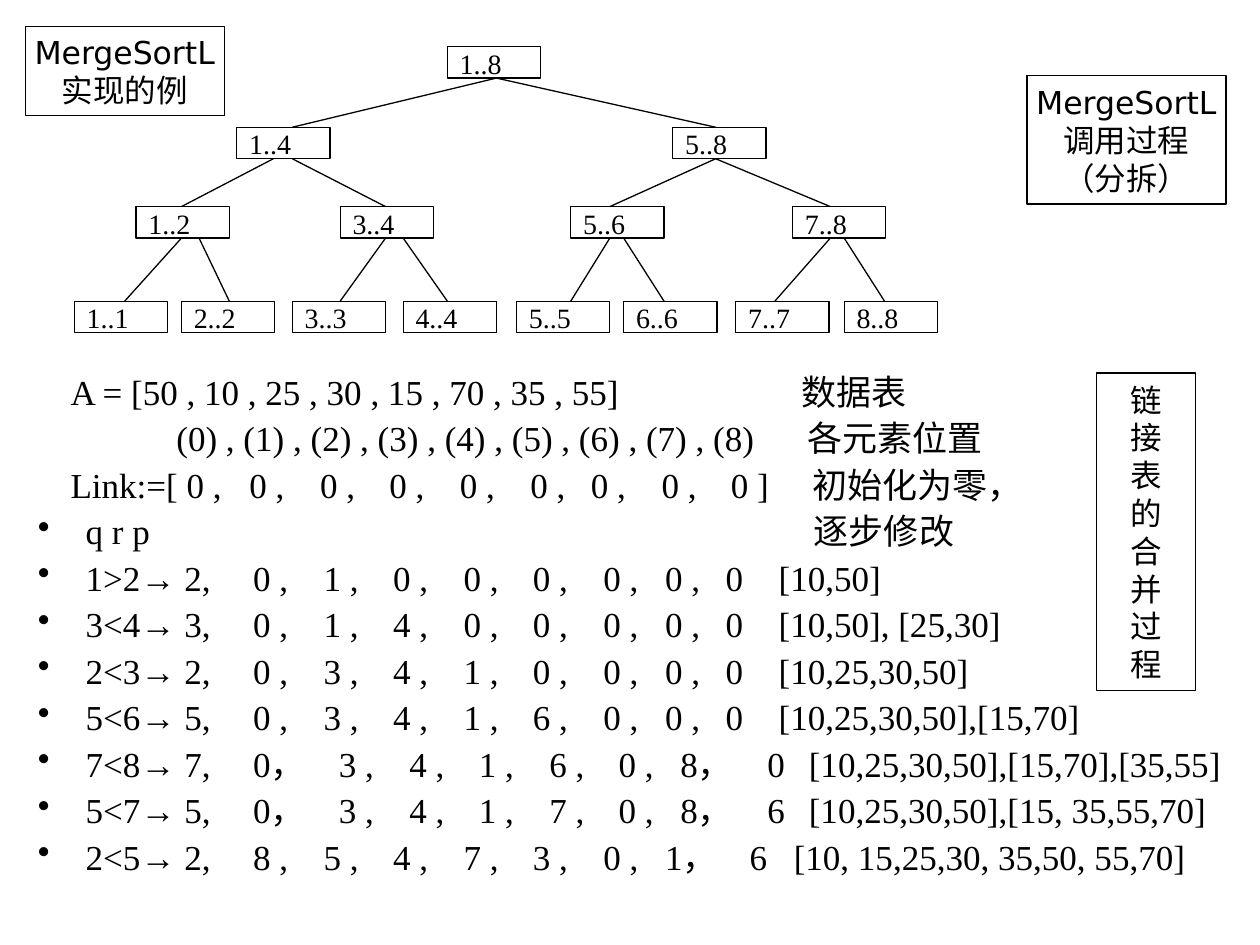
from dataclasses import dataclass
from typing import NamedTuple

from lxml import etree
from pptx import Presentation
from pptx.dml.color import RGBColor
from pptx.enum.shapes import MSO_CONNECTOR, MSO_SHAPE
from pptx.enum.text import MSO_ANCHOR, PP_ALIGN
from pptx.oxml.ns import qn
from pptx.util import Inches, Pt

STRAIGHT = MSO_CONNECTOR.STRAIGHT
RECTANGLE = MSO_SHAPE.RECTANGLE
MIDDLE, TOP = MSO_ANCHOR.MIDDLE, MSO_ANCHOR.TOP
CENTER, JUSTIFY = PP_ALIGN.CENTER, PP_ALIGN.JUSTIFY


@dataclass(frozen=True)
class Theme:
    ink: RGBColor = RGBColor(0, 0, 0)
    paper: RGBColor = RGBColor(255, 255, 255)
    serif: str = "Times New Roman"
    label_font: str = "DejaVu Sans"
    arrow_font: str = "Arial"
    body_size: float = 20
    label_size: float = 18
    node_size: float = 16
    line_width: float = 0.75
    line_height: float = 21.6
    line_gap: float = 5


class Area(NamedTuple):
    left: float
    top: float
    width: float
    height: float


class Node(NamedTuple):
    label: str
    level: int
    left: float


class Edge(NamedTuple):
    level: int
    start: float
    end: float


class Label(NamedTuple):
    area: Area
    lines: tuple


class Row(NamedTuple):
    cells: tuple
    stops: tuple


THEME = Theme()
NODE_WIDTH, NODE_HEIGHT = 0.74, 0.25
LEVEL_TOPS = (0.37, 1.01, 1.64, 2.39)

NODES = (
    Node("1..8", 0, 3.55),
    Node("1..4", 1, 1.88), Node("5..8", 1, 5.34),
    Node("1..2", 2, 1.08), Node("3..4", 2, 2.7),
    Node("5..6", 2, 4.53), Node("7..8", 2, 6.29),
    Node("1..1", 3, 0.59), Node("2..2", 3, 1.44),
    Node("3..3", 3, 2.32), Node("4..4", 3, 3.2),
    Node("5..5", 3, 4.1), Node("6..6", 3, 4.95),
    Node("7..7", 3, 5.84), Node("8..8", 3, 6.7),
)
EDGES = (
    Edge(0, 3.94, 2.32), Edge(0, 3.94, 5.68),
    Edge(1, 2.17, 1.44), Edge(1, 2.32, 3.06),
    Edge(1, 5.68, 4.84), Edge(1, 5.68, 6.59),
    Edge(2, 1.44, 0.99), Edge(2, 1.58, 1.82),
    Edge(2, 3.06, 2.7), Edge(2, 3.2, 3.55),
    Edge(2, 4.84, 4.53), Edge(2, 4.95, 5.27),
    Edge(2, 6.59, 6.15), Edge(2, 6.7, 7.02),
)
LABELS = (
    Label(Area(8.15, 0.6, 1.58, 1.02), ("MergeSortL", "调用过程", "（分拆）")),
    Label(Area(8.7, 2.96, 0.79, 2.52), tuple("链接表的合并过程")),
    Label(Area(0.2, 0.21, 1.58, 0.71), ("MergeSortL", "实现的例")),
)

TRACE_TOP, TRACE_RIGHT = 2.97, 9.85
ROW_PITCH = (THEME.line_height + THEME.line_gap) / 72
DEFINITION_LEFT, STEP_LEFT, STATE_LEFT = 0.56, 0.3, 2.01
STEP_INDENT = 0.38

DEFINITIONS = (
    Row(("A = [50 , 10 , 25 , 30 , 15 , 70 , 35 , 55]", "数据表"), (5.8,)),
    Row(("", "(0) , (1) , (2) , (3) , (4) , (5) , (6) , (7) , (8)", "各元素位置"),
        (0.84, 5.85)),
    Row(("Link:=[ 0 ,", *["0 ,"] * 7, "0 ]", "初始化为零，"),
        (1.42, 1.98, 2.53, 3.09, 3.65, 4.13, 4.69, 5.24, 5.89)),
)
STEPS = ("q r p", "1>2→ 2,", "3<4→ 3,", "2<3→ 2,", "5<6→ 5,", "7<8→ 7,",
         "5<7→ 5,", "2<5→ 2,")
EVEN_STOPS = (0.56, 1.11, 1.67, 2.22, 2.78, 3.27, 3.75, 4.17)
WIDE_STOPS = (0.68, 1.24, 1.79, 2.35, 2.9, 3.39, 4.08, 4.41)
FINAL_STOPS = (*EVEN_STOPS[:6], 3.94, 4.29)


def state(links: str, merged: str, stops: tuple, wide: tuple = ()) -> Row:
    """One row of link values; columns in wide take a full-width comma."""
    cells = [value + ("，" if column in wide else " ,")
             for column, value in enumerate(links[:-1])]
    return Row((*cells, links[-1], merged), stops)


STATES = (
    Row(("", "逐步修改"), (4.45,)),
    state("01000000", "[10,50]", EVEN_STOPS),
    state("01400000", "[10,50], [25,30]", EVEN_STOPS),
    state("03410000", "[10,25,30,50]", EVEN_STOPS),
    state("03416000", "[10,25,30,50],[15,70]", EVEN_STOPS),
    state("03416080", "[10,25,30,50],[15,70],[35,55]", WIDE_STOPS, (0, 6)),
    state("03417086", "[10,25,30,50],[15, 35,55,70]", WIDE_STOPS, (0, 6)),
    state("85473016", "[10, 15,25,30, 35,50, 55,70]", FINAL_STOPS, (6,)),
)


def set_font(target, name: str, size: float) -> None:
    target.font.name = name
    target.font.size = Pt(size)
    target.font.color.rgb = THEME.ink


def set_margins(frame, horizontal: float, vertical: float) -> None:
    frame.margin_left = frame.margin_right = Inches(horizontal)
    frame.margin_top = frame.margin_bottom = Inches(vertical)


def add_box(shapes, area: Area):
    shape = shapes.add_shape(RECTANGLE, *map(Inches, area))
    shape.shadow.inherit = False
    shape.fill.solid()
    shape.fill.fore_color.rgb = THEME.paper
    shape.line.color.rgb = THEME.ink
    shape.line.width = Pt(THEME.line_width)
    return shape


def add_node(shapes, node: Node) -> None:
    area = Area(node.left, LEVEL_TOPS[node.level], NODE_WIDTH, NODE_HEIGHT)
    frame = add_box(shapes, area).text_frame
    frame.word_wrap, frame.vertical_anchor = True, TOP
    set_margins(frame, 0.1, 0.05)
    paragraph = frame.paragraphs[0]
    paragraph.text = node.label
    paragraph.alignment, paragraph.line_spacing = JUSTIFY, 0.8
    set_font(paragraph, THEME.serif, THEME.node_size)


def add_edge(shapes, edge: Edge) -> None:
    line = shapes.add_connector(
        STRAIGHT, Inches(edge.start), Inches(LEVEL_TOPS[edge.level] + NODE_HEIGHT),
        Inches(edge.end), Inches(LEVEL_TOPS[edge.level + 1]))
    line.line.color.rgb = THEME.ink
    line.line.width = Pt(THEME.line_width)
    etree.SubElement(line._element.spPr, qn("a:effectLst"))


def add_label(shapes, label: Label) -> None:
    frame = add_box(shapes, label.area).text_frame
    frame.word_wrap, frame.vertical_anchor = False, MIDDLE
    set_margins(frame, 0.02, 0.01)
    for index, line in enumerate(label.lines):
        paragraph = frame.add_paragraph() if index else frame.paragraphs[0]
        paragraph.text, paragraph.alignment = line, CENTER
        set_font(paragraph, THEME.label_font, THEME.label_size)


def add_trace_lines(shapes, left: float, right: float, first_row: int, count: int) -> list:
    """Text box on the shared row pitch; returns its empty paragraphs."""
    area = Area(left, TRACE_TOP + first_row * ROW_PITCH, right - left, count * ROW_PITCH)
    frame = shapes.add_textbox(*map(Inches, area)).text_frame
    frame.word_wrap = True
    set_margins(frame, 0, 0)
    for _ in range(count - 1):
        frame.add_paragraph()
    for paragraph in frame.paragraphs:
        paragraph.line_spacing = Pt(THEME.line_height)
        paragraph.space_after = Pt(THEME.line_gap)
        set_font(paragraph, THEME.serif, THEME.body_size)
    return list(frame.paragraphs)


def add_rows(shapes, left: float, first_row: int, rows: tuple) -> None:
    paragraphs = add_trace_lines(shapes, left, TRACE_RIGHT, first_row, len(rows))
    for paragraph, row in zip(paragraphs, rows):
        run = paragraph.add_run()
        run.text = "\t".join(row.cells)
        set_font(run, THEME.serif, THEME.body_size)
        tabs = etree.Element(qn("a:tabLst"))
        for stop in row.stops:
            etree.SubElement(tabs, qn("a:tab"), pos=str(Inches(stop)), algn="l")
        paragraph._p.pPr.find(qn("a:defRPr")).addprevious(tabs)


def add_steps(shapes, first_row: int) -> None:
    paragraphs = add_trace_lines(shapes, STEP_LEFT, STATE_LEFT, first_row, len(STEPS))
    for paragraph, step in zip(paragraphs, STEPS):
        before, arrow, after = step.partition("→")
        for text, font in ((before, THEME.serif), (arrow, THEME.arrow_font), (after, THEME.serif)):
            if text:
                run = paragraph.add_run()
                run.text = text
                set_font(run, font, THEME.body_size)
        properties = paragraph._p.pPr
        properties.set("marL", str(Inches(STEP_INDENT)))
        properties.set("indent", str(-Inches(STEP_INDENT)))
        bullet = etree.Element(qn("a:buChar"), char="•")
        properties.find(qn("a:defRPr")).addprevious(bullet)


def main() -> None:
    presentation = Presentation()
    presentation.slide_width, presentation.slide_height = Inches(10), Inches(7.5)
    slide = presentation.slides.add_slide(presentation.slide_layouts[6])
    add_rows(slide.shapes, DEFINITION_LEFT, 0, DEFINITIONS)
    add_steps(slide.shapes, len(DEFINITIONS))
    add_rows(slide.shapes, STATE_LEFT, len(DEFINITIONS), STATES)
    tree = slide.shapes.add_group_shape()
    for node in NODES:
        add_node(tree.shapes, node)
    for edge in EDGES:
        add_edge(tree.shapes, edge)
    for label in LABELS:
        add_label(slide.shapes, label)
    presentation.save("out.pptx")


if __name__ == "__main__":
    main()
